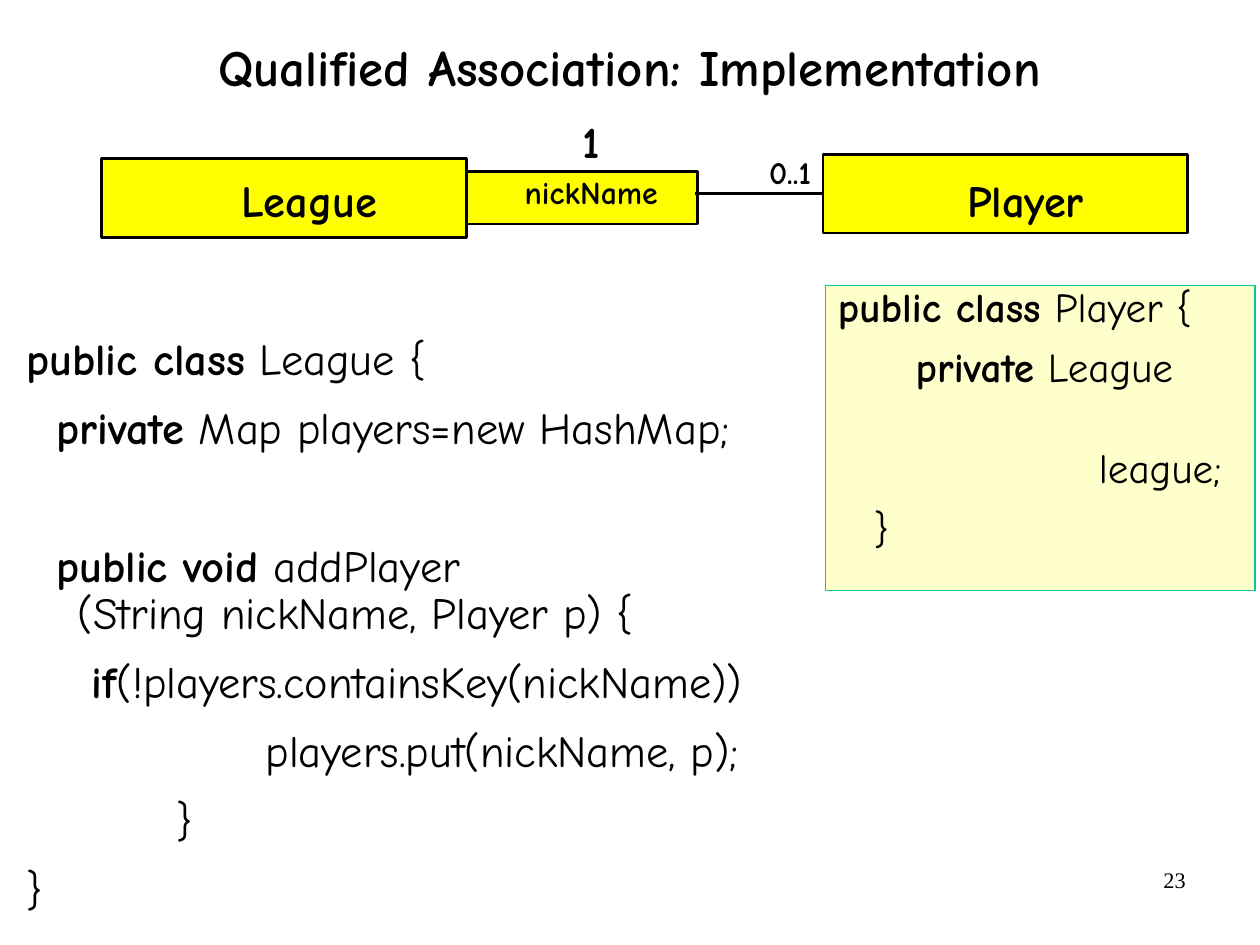
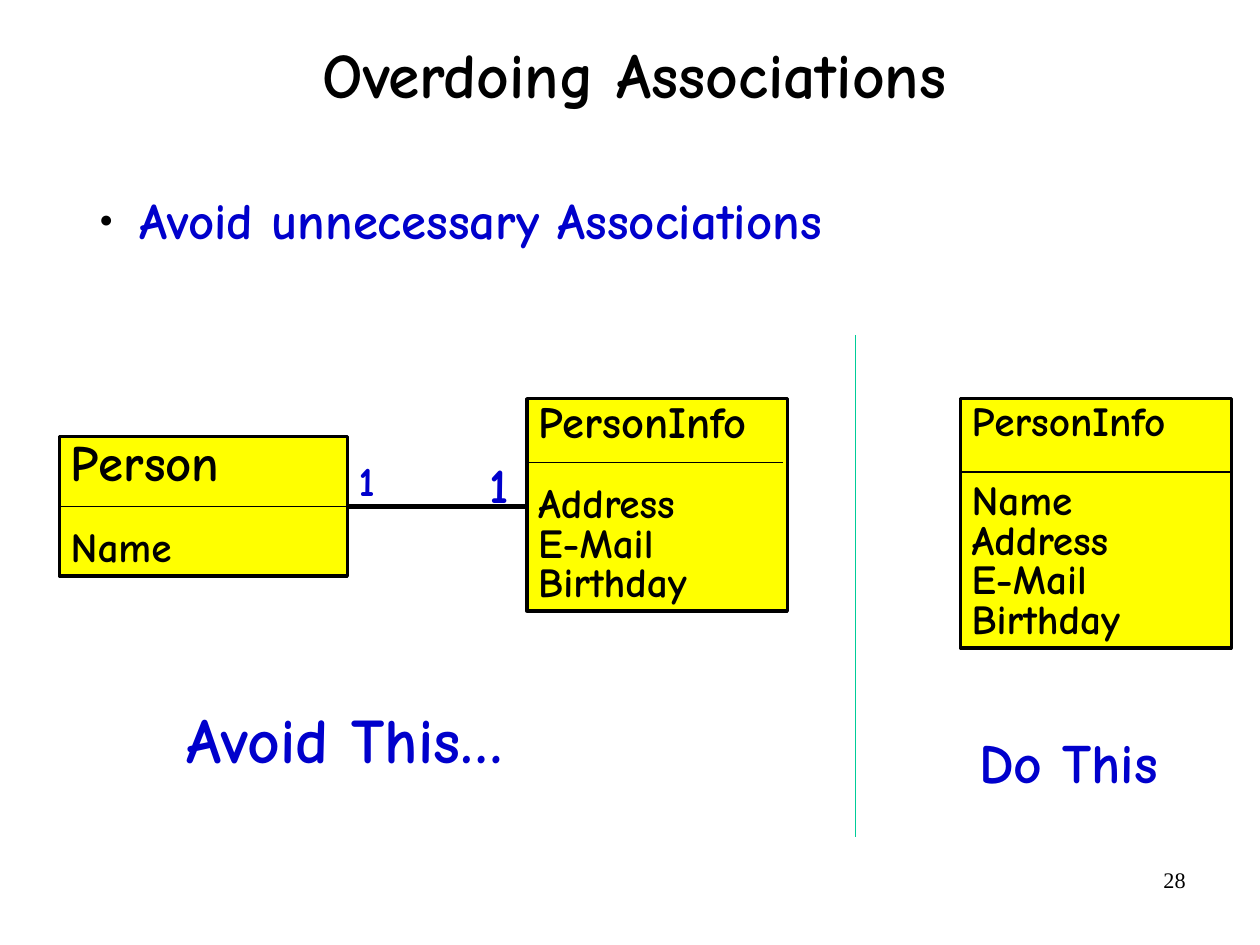
import dataclasses

import lxml.etree
import pptx
import pptx.dml.color
import pptx.enum.shapes
import pptx.enum.text
import pptx.oxml.ns
import pptx.util

COLUMNS, ROWS = 28, 21
ALIGN = pptx.enum.text.PP_ALIGN
ANCHOR = pptx.enum.text.MSO_ANCHOR
RECTANGLE = pptx.enum.shapes.MSO_SHAPE.RECTANGLE
STRAIGHT = pptx.enum.shapes.MSO_CONNECTOR.STRAIGHT


@dataclasses.dataclass(frozen=True)
class Theme:
    font: str = "Comic Neue"
    number_font: str = "Times New Roman"
    ink: str = "000000"
    accent: str = "0000CC"
    class_fill: str = "FFFF00"
    code_fill: str = "FFFFCC"
    code_edge: str = "00CC99"
    divider: str = "00CC98"
    number_size: float = 14
    small_size: float = 20
    code_size: float = 25.9
    member_size: float = 26
    text_size: float = 28
    mark_size: float = 31
    large_size: float = 32
    verdict_size: float = 35
    huge_size: float = 40
    thin: float = 0.75
    medium: float = 1.75
    outline: float = 2
    thick: float = 3
    title_spacing: float = 0.88
    tight: float = 0.8
    gap: float = 13.8
    member_gap: float = 25
    no_inset: tuple = (0, 0)
    inset: tuple = (0.25, 0.13)
    code_inset: tuple = (0.28, 0.13)


THEME = Theme()


def color(value):
    return pptx.dml.color.RGBColor.from_string(value)


class Deck:
    def __init__(self, theme):
        self.theme = theme
        self.presentation = pptx.Presentation()
        self.presentation.slide_width = pptx.util.Cm(COLUMNS)
        self.presentation.slide_height = pptx.util.Cm(ROWS)
        self.slide = None

    def across(self, columns):
        return round(self.presentation.slide_width * columns / COLUMNS)

    def down(self, rows):
        return round(self.presentation.slide_height * rows / ROWS)

    def area(self, left, top, width, height):
        return self.across(left), self.down(top), self.across(width), self.down(height)

    def add_slide(self, layout, title, title_area, title_size, number):
        self.slide = self.presentation.slides.add_slide(
            self.presentation.slide_layouts.get_by_name(layout))
        heading = self.slide.shapes.title
        self.place(heading, title_area)
        frame = self.frame(heading, self.theme.no_inset, ANCHOR.MIDDLE)
        self.add_runs(frame.paragraphs[0], [(title, True)], title_size,
                      spacing=self.theme.title_spacing, align=ALIGN.CENTER)
        self.label(str(number), (20.07, 19.13, 6.53, 1.45), self.theme.number_size,
                   bold=False, font=self.theme.number_font,
                   inset=self.theme.inset, align=ALIGN.RIGHT)

    def place(self, shape, area):
        shape.left, shape.top, shape.width, shape.height = self.area(*area)

    def frame(self, shape, inset, anchor=ANCHOR.TOP):
        frame = shape.text_frame
        frame.word_wrap = True
        frame.auto_size = pptx.enum.text.MSO_AUTO_SIZE.NONE
        frame.vertical_anchor = anchor
        frame.margin_left = frame.margin_right = self.across(inset[0])
        frame.margin_top = frame.margin_bottom = self.down(inset[1])
        return frame

    def add_runs(self, paragraph, runs, size, ink=None, font=None, spacing=1.0,
                 after=0, align=ALIGN.LEFT):
        paragraph.alignment = align
        paragraph.line_spacing = spacing
        paragraph.space_before = pptx.util.Pt(0)
        paragraph.space_after = pptx.util.Pt(after)
        for text, bold in runs:
            if text == "\n":
                paragraph.add_line_break()
                continue
            run = paragraph.add_run()
            run.text = text
            run.font.name = font or self.theme.font
            run.font.size = pptx.util.Pt(size)
            run.font.bold = bold
            run.font.color.rgb = color(ink or self.theme.ink)

    def paragraphs(self, frame, count):
        return [frame.paragraphs[0]] + [frame.add_paragraph() for _ in range(count - 1)]

    def indent(self, paragraph, left, hanging=0, bullet=None):
        properties = paragraph._p.get_or_add_pPr()
        properties.set("marL", str(self.across(left)))
        properties.set("indent", str(-self.across(hanging)))

        def add(parent, tag, **attributes):
            return lxml.etree.SubElement(parent, pptx.oxml.ns.qn(tag), attributes)

        if bullet:
            add(add(properties, "a:buClr"), "a:srgbClr", val=self.theme.ink)
            add(properties, "a:buSzPct", val="45000")
            add(properties, "a:buChar", char=bullet)
        else:
            add(properties, "a:buNone")

    def label(self, text, area, size, ink=None, bold=True, font=None,
              inset=THEME.no_inset, spacing=1.0, align=ALIGN.LEFT):
        box = self.slide.shapes.add_textbox(*self.area(*area))
        frame = self.frame(box, inset)
        self.add_runs(frame.paragraphs[0], [(text, bold)], size, ink, font, spacing,
                      align=align)

    def rectangle(self, area, line_width):
        shape = self.slide.shapes.add_shape(RECTANGLE, *self.area(*area))
        shape.shadow.inherit = False
        self.paint(shape, self.theme.class_fill, self.theme.ink, line_width)
        return shape

    def paint(self, shape, fill, edge, line_width):
        shape.fill.solid()
        shape.fill.fore_color.rgb = color(fill)
        shape.line.color.rgb = color(edge)
        shape.line.width = pptx.util.Pt(line_width)

    def line(self, start, end, width, ink=None):
        connector = self.slide.shapes.add_connector(
            STRAIGHT, self.across(start[0]), self.down(start[1]),
            self.across(end[0]), self.down(end[1]))
        connector.line.color.rgb = color(ink or self.theme.ink)
        connector.line.width = pptx.util.Pt(width)
        lxml.etree.SubElement(connector._element.spPr, pptx.oxml.ns.qn("a:effectLst"))

    def class_box(self, area, name, name_size, members, divider_row, divider_width):
        theme = self.theme
        frame = self.frame(self.rectangle(area, theme.outline), theme.inset)
        heading, *rows = self.paragraphs(frame, len(members) + 1)
        self.add_runs(heading, [(name, True)], name_size, spacing=theme.tight,
                      after=theme.member_gap)
        for paragraph, member in zip(rows, members):
            self.add_runs(paragraph, [(member, True)], theme.member_size,
                          spacing=theme.tight)
        self.line((area[0], divider_row), (area[0] + divider_width, divider_row), theme.thin)

    def code(self, placeholder, area, lines, size, spacing):
        self.place(placeholder, area)
        frame = self.frame(placeholder, self.theme.code_inset)
        for paragraph, (left, hanging, extra, runs) in zip(
                self.paragraphs(frame, len(lines)), lines):
            self.add_runs(paragraph, runs, size, spacing=spacing,
                          after=self.theme.gap + extra)
            self.indent(paragraph, left, hanging)

    def bullet(self, placeholder, area, text):
        self.place(placeholder, area)
        paragraph = self.frame(placeholder, self.theme.no_inset).paragraphs[0]
        self.add_runs(paragraph, [(text, True)], self.theme.large_size, self.theme.accent,
                      spacing=self.theme.title_spacing, after=self.theme.gap)
        self.indent(paragraph, 1.17, 0.89, "●")


def qualified_association(deck):
    theme = deck.theme
    deck.add_slide("Two Content", "Qualified Association: Implementation",
                   (0, 0.76, COLUMNS, 1.6), theme.large_size, 23)
    league_code, player_code = list(deck.slide.placeholders)[1:]
    deck.code(league_code, (0.3, 7.39, 18.67, 13.6), [
        (0, 0, 0, [("public class", True), (" League {", False)]),
        (0.67, 0, 43.4, [("private", True), (" Map players=new HashMap;", False)]),
        (1.15, 0.48, 0, [("public void", True), (" addPlayer", False), ("\n", False),
                         ("(String nickName, Player p) {", False)]),
        (1.46, 0, 0, [("if", True), ("(!players.containsKey(nickName))", False)]),
        (5.32, 0, 0, [("players.put(nickName, p);", False)]),
        (3.35, 0, 0, [("}", False)]),
        (0, 0, 0, [("}", False)]),
    ], theme.text_size, theme.title_spacing)
    deck.code(player_code, (18.34, 6.35, 9.55, 6.78), [
        (0, 0, 0, [("public class", True), (" Player {", False)]),
        (1.73, 0, 25.2, [("private", True), (" League", False)]),
        (5.8, 0, 0, [("league;", False)]),
        (0.8, 0, 0, [("}", False)]),
    ], theme.code_size, 0.78)
    deck.paint(player_code, theme.code_fill, theme.code_edge, theme.thin)

    for area in ((10.34, 3.81, 5.16, 1.17), (18.29, 3.43, 8.1, 1.75), (2.26, 3.53, 8.1, 1.75)):
        deck.rectangle(area, theme.medium)
    deck.line((15.44, 4.3), (18.29, 4.3), theme.medium)
    for text, left, top, width, size in (
            ("1", 12.95, 2.54, 0.5, theme.text_size),
            ("League", 5.36, 3.84, 3.1, theme.text_size),
            ("Player", 21.49, 3.84, 2.7, theme.text_size),
            ("nickName", 11.66, 3.84, 3.1, theme.small_size),
            ("0..1", 17.09, 3.4, 1.05, theme.small_size)):
        deck.label(text, (left, top, width, size * 0.04), size)


def overdoing_associations(deck):
    theme = deck.theme
    deck.add_slide("Title and Content", "Overdoing Associations",
                   (2.16, 0, 23.88, 3.48), theme.huge_size, 28)
    deck.bullet(deck.slide.placeholders[1], (1.93, 4.37, 25.2, 13.87),
                "Avoid unnecessary Associations")
    details = ["Address", "E-Mail", "Birthday"]
    deck.class_box((1.32, 9.7, 6.4, 3.1), "Person", theme.large_size, ["Name"], 11.26, 6.4)
    deck.class_box((11.71, 8.86, 5.79, 4.72), "PersonInfo", theme.text_size,
                   details, 10.27, 5.69)
    deck.class_box((21.34, 8.86, 6.02, 5.54), "PersonInfo", theme.member_size,
                   ["Name"] + details, 10.49, 6.02)
    deck.line((7.72, 11.26), (11.71, 11.26), theme.thick)
    deck.line((19.02, 7.44), (19.02, 18.59), theme.thin, theme.divider)
    for text, area, size in (
            ("1", (10.62, 10.21, 0.81, 1.32), theme.mark_size),
            ("1", (7.72, 10.19, 0.81, 1.14), theme.member_size),
            ("Avoid This…", (3.9, 15.75, 9.1, 1.63), theme.huge_size),
            ("Do This", (21.51, 16.33, 6.3, 1.45), theme.verdict_size)):
        deck.label(text, area, size, theme.accent, inset=theme.inset, spacing=theme.tight)


def main():
    deck = Deck(THEME)
    qualified_association(deck)
    overdoing_associations(deck)
    deck.presentation.save("out.pptx")


if __name__ == "__main__":
    main()
